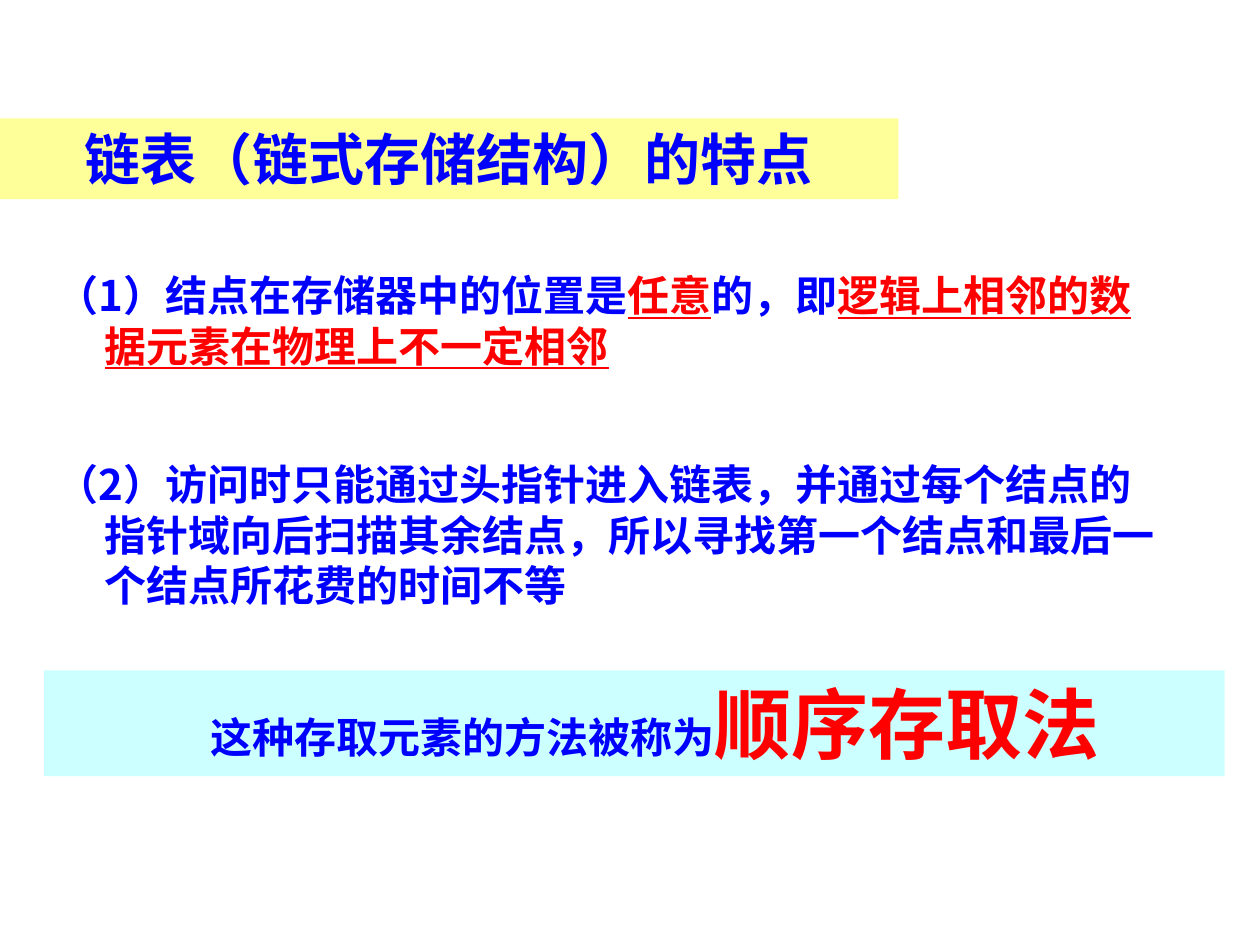
from dataclasses import dataclass

import pptx
import pptx.dml.color
import pptx.enum.shapes
import pptx.enum.text
import pptx.oxml
import pptx.oxml.ns
import pptx.util

Inches = pptx.util.Inches
FONT = "Noto Sans CJK SC"
BLUE, RED = "0000FF", "FF0000"
YELLOW, CYAN = "FFFF99", "CCFFFF"
LEFT_ALIGN = pptx.enum.text.PP_ALIGN.LEFT
CENTER_ALIGN = pptx.enum.text.PP_ALIGN.CENTER


@dataclass
class Segment:
    text: str
    size: int = 24
    color: str = BLUE
    underline: bool = False


@dataclass
class Block:
    left: float
    top: float
    width: float
    height: float
    segments: list[Segment]
    fill: str | None = None
    align: pptx.enum.text.PP_ALIGN = LEFT_ALIGN


TITLE = Block(0, 0.94, 7.13, 0.64, [Segment("链表（链式存储结构）的特点", size=32)],
              YELLOW, CENTER_ALIGN)
FEATURES = [
    Block(0.35, 2.09, 8.98, 0.91, [
        Segment("（1）结点在存储器中的位置是"),
        Segment("任意", color=RED, underline=True),
        Segment("的，即"),
        Segment("逻辑上相邻的数据元素在物理上不一定相邻", color=RED, underline=True),
    ]),
    Block(0.35, 3.59, 8.98, 1.31, [
        Segment("（2）访问时只能通过头指针进入链表，并通过每个结点的指针域向后扫描其余结点，"
                "所以寻找第一个结点和最后一个结点所花费的时间不等"),
    ]),
]
CONCLUSION = Block(0.35, 5.32, 9.37, 0.84, [
    Segment("　这种存取元素的方法被称为"),
    Segment("顺序存取法", size=44, color=RED),
], CYAN, CENTER_ALIGN)


def rgb(color: str) -> pptx.dml.color.RGBColor:
    return pptx.dml.color.RGBColor.from_string(color)


def add_text(paragraph, text: str, *, size: int, color: str, underline: bool) -> None:
    run = paragraph.add_run()
    run.text = text
    font = run.font
    font.name, font.size, font.bold = FONT, pptx.util.Pt(size), True
    font.underline = underline
    font.color.rgb = rgb(color)
    # The East Asian typeface has no public python-pptx property.
    east_asian = pptx.oxml.parse_xml(
        f'<a:ea {pptx.oxml.ns.nsdecls("a")} typeface="{FONT}"/>')
    run.font._element.find(pptx.oxml.ns.qn("a:latin")).addnext(east_asian)


def set_hanging_indent(paragraph, indent: float) -> None:
    properties = paragraph._p.get_or_add_pPr()
    properties.set("marL", str(Inches(indent)))
    properties.set("indent", str(-Inches(indent)))
    properties.append(pptx.oxml.parse_xml(
        f'<a:buNone {pptx.oxml.ns.nsdecls("a")}/>'))


def format_block(shape, block: Block) -> None:
    """Place the shape, fill it and write its single paragraph."""
    shape.left, shape.top = Inches(block.left), Inches(block.top)
    shape.width, shape.height = Inches(block.width), Inches(block.height)
    if block.fill:
        shape.fill.solid()
        shape.fill.fore_color.rgb = rgb(block.fill)
    frame = shape.text_frame
    frame.word_wrap = True
    frame.auto_size = pptx.enum.text.MSO_AUTO_SIZE.NONE
    frame.vertical_anchor = pptx.enum.text.MSO_ANCHOR.TOP
    paragraph = frame.paragraphs[0]
    set_hanging_indent(paragraph, 0.38)
    paragraph.alignment = block.align
    paragraph.space_before = pptx.util.Pt(0)
    largest = max(segment.size for segment in block.segments)
    paragraph.line_spacing = pptx.util.Pt(1.2 * largest)
    for segment in block.segments:
        add_text(paragraph, segment.text, size=segment.size,
                 color=segment.color, underline=segment.underline)


def main() -> None:
    presentation = pptx.Presentation()
    presentation.slide_width, presentation.slide_height = Inches(10), Inches(7.5)
    layout = presentation.slide_layouts.get_by_name("Two Content")
    slide = presentation.slides.add_slide(layout)

    title, *bodies = slide.placeholders
    format_block(title, TITLE)
    for body, feature in zip(bodies, FEATURES):
        format_block(body, feature)

    conclusion = slide.shapes.add_shape(
        pptx.enum.shapes.MSO_SHAPE.RECTANGLE, 0, 0, 0, 0)
    conclusion.shadow.inherit = False
    conclusion.line.fill.background()
    format_block(conclusion, CONCLUSION)

    presentation.save("out.pptx")


if __name__ == "__main__":
    main()
